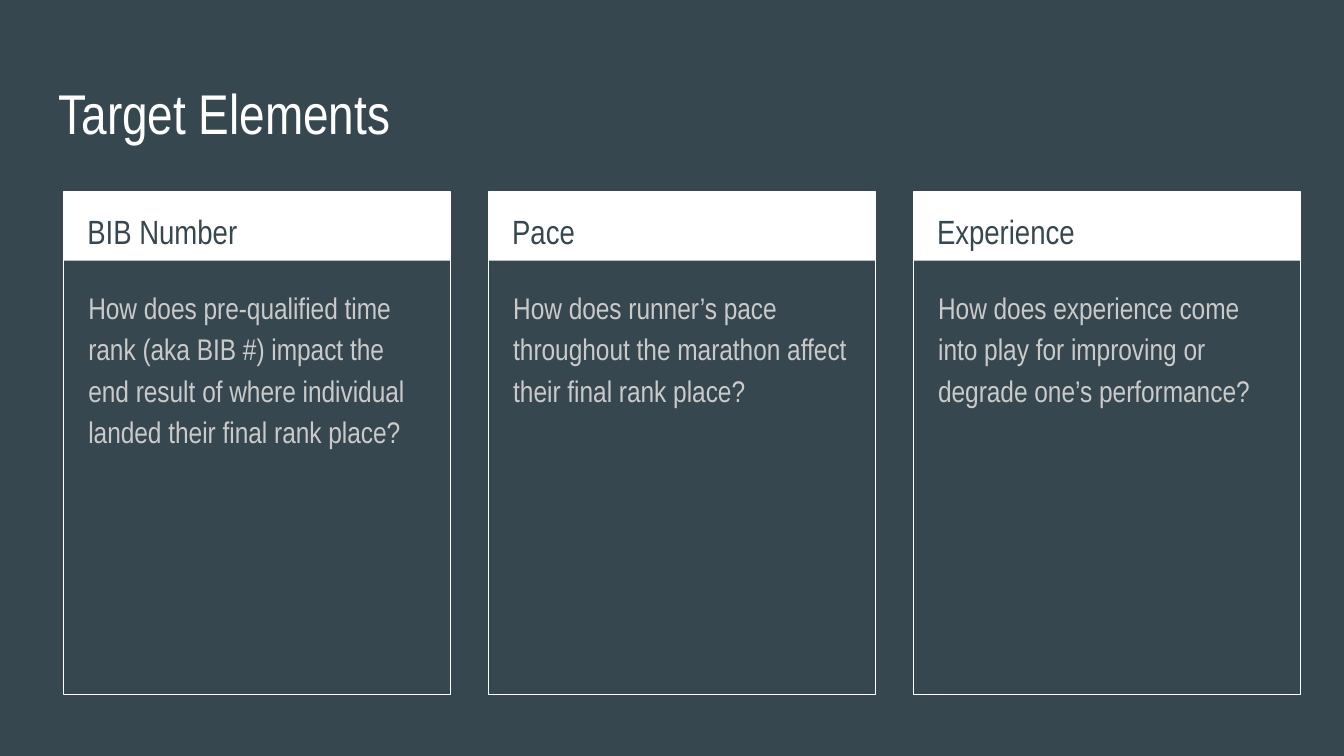
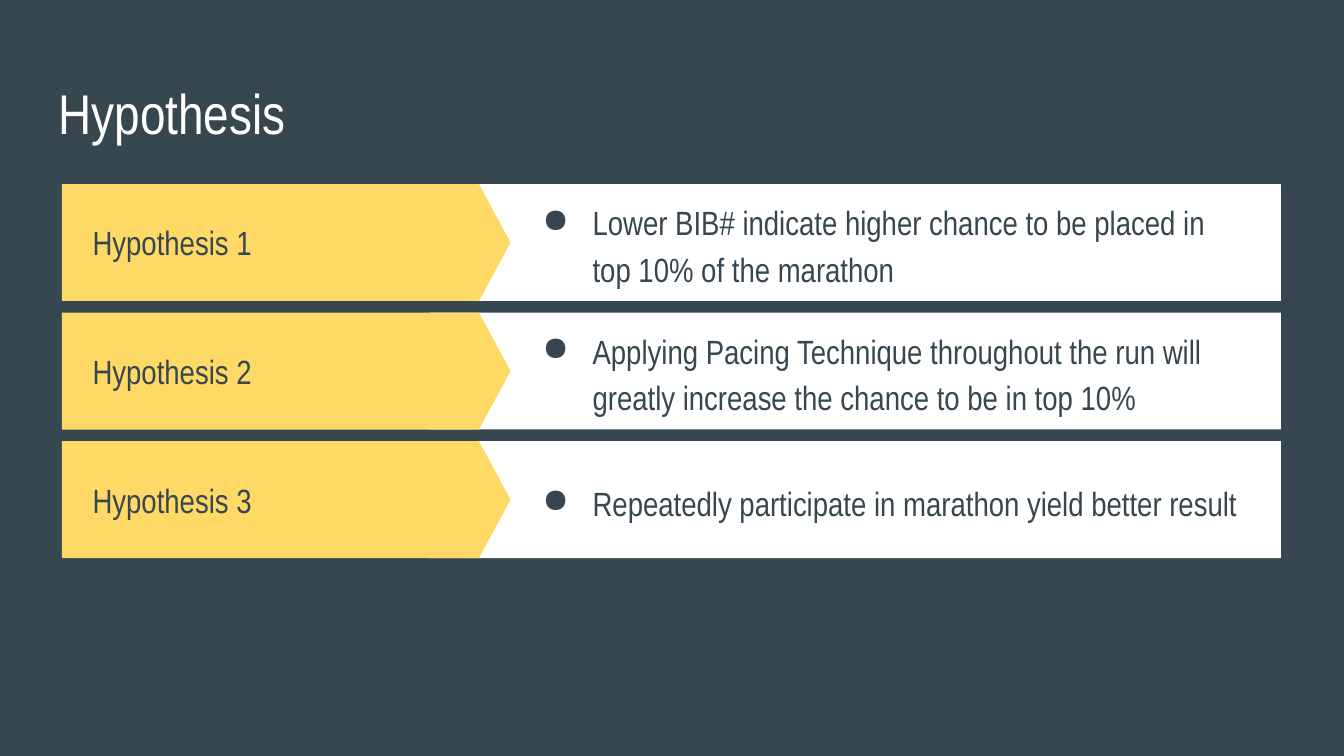
from dataclasses import dataclass

from lxml.etree import SubElement
from pptx import Presentation
from pptx.dml.color import RGBColor
from pptx.enum.shapes import MSO_SHAPE
from pptx.enum.text import MSO_ANCHOR
from pptx.oxml.ns import qn
from pptx.util import Cm, Pt


@dataclass(frozen=True)
class Theme:
    font: str = "Arial Narrow"
    dark: RGBColor = RGBColor(0x37, 0x47, 0x4F)
    white: RGBColor = RGBColor(0xFF, 0xFF, 0xFF)
    grey: RGBColor = RGBColor(0xCA, 0xCA, 0xCA)
    yellow: RGBColor = RGBColor(0xFF, 0xD9, 0x66)
    title: int = 30
    label: int = 18
    body: int = 16


th = Theme()


def add_text(s, text, x, y, w, h, *, size=th.label, color=th.dark,
             anchor=MSO_ANCHOR.TOP, spacing=1.0, bullet=None):
    """Add a one-paragraph text box; all lengths are in centimetres."""
    tf = s.shapes.add_textbox(Cm(x), Cm(y), Cm(w), Cm(h)).text_frame
    tf.word_wrap = True
    tf.vertical_anchor = anchor
    tf.margin_left = tf.margin_right = tf.margin_top = tf.margin_bottom = Cm(0.25)
    p = tf.paragraphs[0]
    if bullet:
        pPr = p._p.get_or_add_pPr()
        pPr.set("marL", str(Cm(1.27)))
        pPr.set("indent", str(Cm(-0.95)))
        clr = SubElement(pPr, qn("a:buClr"))
        SubElement(clr, qn("a:srgbClr"), val=str(color))
        SubElement(pPr, qn("a:buChar"), char=bullet)
    p.line_spacing = spacing
    r = p.add_run()
    r.text = text
    r.font.name = th.font
    r.font.size = Pt(size)
    r.font.color.rgb = color


def add_block(s, kind, x, y, w, h, fill=None, line=None):
    """Add a flat preset shape; all lengths are in centimetres."""
    sp = s.shapes.add_shape(kind, Cm(x), Cm(y), Cm(w), Cm(h))
    sp.shadow.inherit = False
    if fill is None:
        sp.fill.background()
    else:
        sp.fill.solid()
        sp.fill.fore_color.rgb = fill
    if line is None:
        sp.line.fill.background()
    else:
        sp.line.color.rgb = line
        sp.line.width = Pt(0.75)
    return sp


prs = Presentation()
prs.slide_width, prs.slide_height = Cm(25.4), Cm(14.29)

# Backgrounds and titles
slides = []
for title in ("Target Elements", "Hypothesis"):
    s = prs.slides.add_slide(prs.slide_layouts[6])
    s.background.fill.solid()
    s.background.fill.fore_color.rgb = th.dark
    add_text(s, title, 0.86, 1.24, 23.67, 1.6, size=th.title, color=th.white)
    slides.append(s)
targets, hypotheses = slides

# Target elements: three cards with a filled header
cards = [
    ("BIB Number", "How does pre-qualified time rank (aka BIB #) impact the "
                   "end result of where individual landed their final rank place?"),
    ("Pace", "How does runner’s pace throughout the marathon affect "
             "their final rank place?"),
    ("Experience", "How does experience come into play for improving or "
                   "degrade one’s performance?"),
]
card_y, card_w = 3.63, 7.32
for i, (header, question) in enumerate(cards):
    x = 1.2 + i * 8.03
    add_block(targets, MSO_SHAPE.RECTANGLE, x, card_y, card_w, 1.3, fill=th.white)
    add_block(targets, MSO_SHAPE.RECTANGLE, x, card_y, card_w, 9.5, line=th.white)
    add_text(targets, header, x + 0.2, card_y, 6.93, 1.27, spacing=1.15)
    add_text(targets, question, x + 0.22, 5.13, 6.88, 7.77,
             size=th.body, color=th.grey, spacing=1.15)

# Hypotheses: rows with an arrow label and a bulleted statement
statements = [
    "Lower BIB# indicate higher chance to be placed in top 10% of the marathon",
    "Applying Pacing Technique throughout the run will greatly increase "
    "the chance to be in top 10%",
    "Repeatedly participate in marathon yield better result",
]
row_h = 2.21
for i, statement in enumerate(statements):
    y = 3.48 + i * 2.43
    add_block(hypotheses, MSO_SHAPE.RECTANGLE, 8.13, y, 16.08, row_h, fill=th.white)
    arrow = add_block(hypotheses, MSO_SHAPE.PENTAGON, 1.17, y, 8.48, row_h,
                      fill=th.yellow)
    arrow.adjustments[0] = 0.27
    add_text(hypotheses, f"Hypothesis {i + 1}", 1.5, y, 6.73, row_h,
             anchor=MSO_ANCHOR.MIDDLE)
    add_text(hypotheses, statement, 9.68, y, 14.2, row_h,
             anchor=MSO_ANCHOR.MIDDLE, spacing=1.15, bullet="●")

prs.save("out.pptx")
